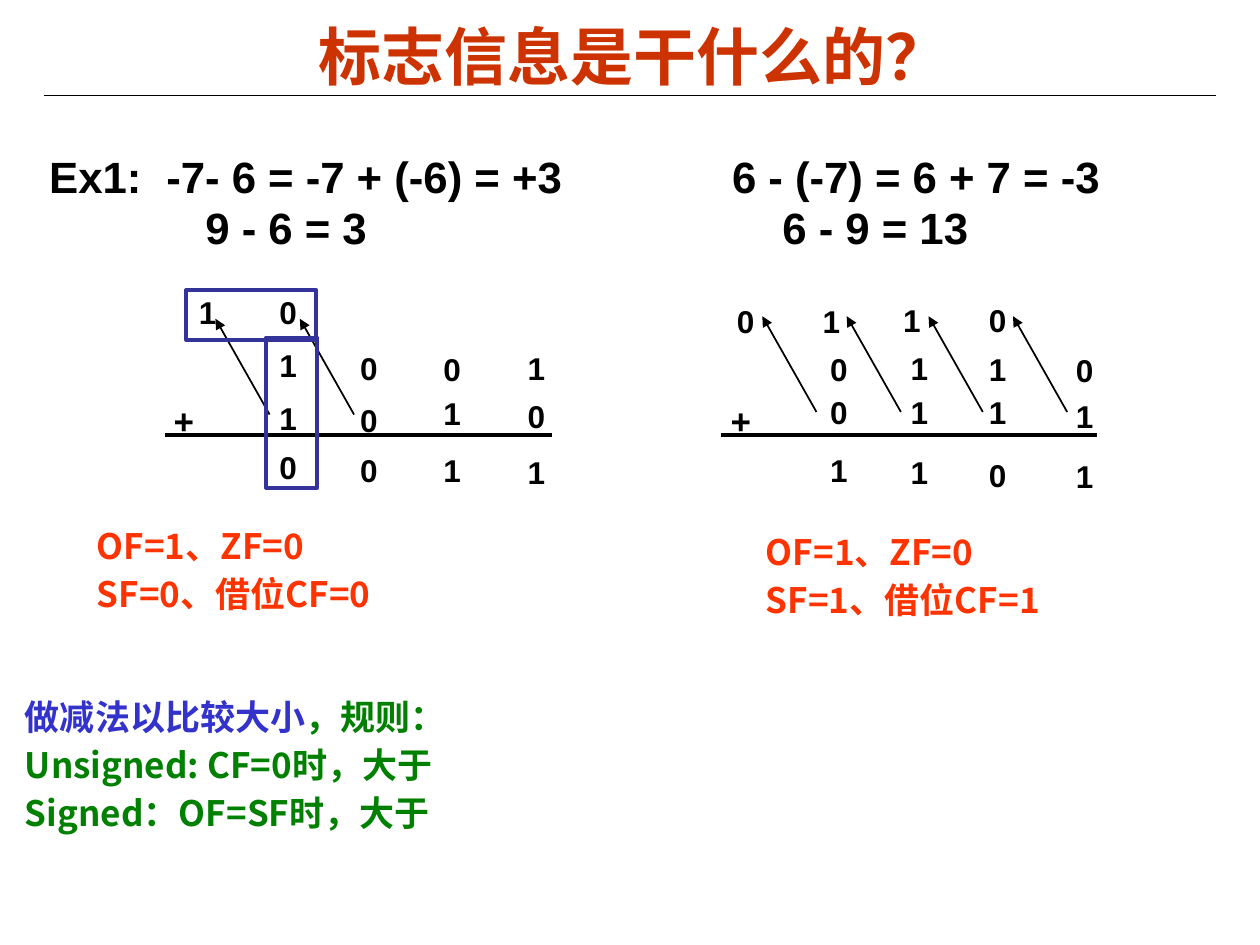
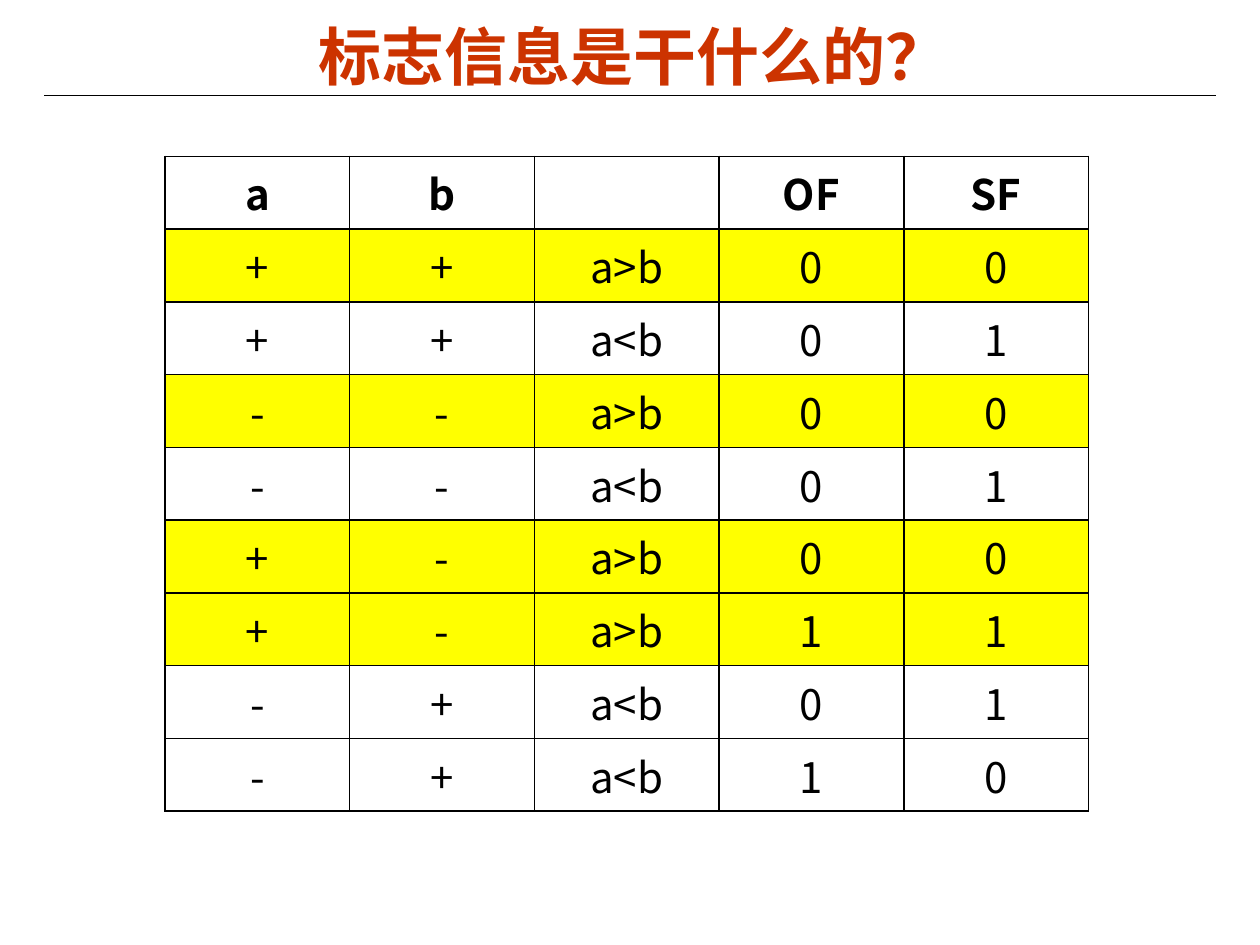
from lxml.etree import SubElement
from pptx import Presentation
from pptx.dml.color import RGBColor as Rgb
from pptx.enum.shapes import MSO_CONNECTOR as Connector, MSO_SHAPE as Shape
from pptx.enum.text import MSO_ANCHOR as Anchor, PP_ALIGN as Align
from pptx.oxml.ns import qn
from pptx.util import Inches, Pt

COLOURS = {
    "title": "CC3300", "ink": "000000", "flag": "FF3300", "rule": "008000",
    "topic": "3333CC", "frame": "333399", "greater": "FFFF00",
}
LATIN, CHINESE = "Arial", "Noto Sans CJK SC"
TITLE = "标志信息是干什么的？"

deck = Presentation()
deck.slide_width, deck.slide_height = Inches(10), Inches(7.5)
CELL = deck.slide_width / 100  # the grid has 100 columns and 75 rows


def write(frame, lines, size, font=LATIN, bold=True, **layout):
    """Fill a text frame; each line is a list of (text, colour) spans."""
    for number, spans in enumerate(lines):
        para = frame.paragraphs[0] if number == 0 else frame.add_paragraph()
        for name, value in layout.items():
            setattr(para, name, value)
        if number == 0:
            para.space_before = Pt(0)
        for text, colour in spans:
            span = para.add_run()
            span.text = text
            for name, value in {"size": Pt(size), "name": font, "bold": bold}.items():
                setattr(span.font, name, value)
            span.font.color.rgb = Rgb.from_string(COLOURS[colour])
            SubElement(span.font._element, qn("a:ea"), typeface=CHINESE)


def draw_line(page, ends, width, arrow=False):
    line = page.shapes.add_connector(Connector.STRAIGHT, *[int(CELL * n) for n in ends])
    line.line.color.rgb = Rgb.from_string(COLOURS["ink"])
    line.line.width = Pt(width)
    if arrow:
        SubElement(line.line._get_or_add_ln(), qn("a:tailEnd"), type="triangle")
    SubElement(line._element.spPr, qn("a:effectLst"))


# Shared title and rule
sums_page, table_page = [deck.slides.add_slide(deck.slide_layouts[6]) for _ in range(2)]
for page in (sums_page, table_page):
    draw_line(page, (3.5, 7.6, 96.5, 7.6), 0.75)
    box = page.shapes.add_textbox(*[int(CELL * n) for n in (5.7, 1.1, 89.2, 6.6)])
    frame = box.text_frame
    frame.word_wrap, frame.vertical_anchor = True, Anchor.MIDDLE
    frame.margin_top = frame.margin_bottom = Inches(0.03)
    write(frame, [[(TITLE, "title")]], 36, alignment=Align.CENTER)

# Equations, lined up with tab stops
box = sums_page.shapes.add_textbox(*[int(CELL * n) for n in (3.2, 11.9, 93.8, 8.8)])
frame = box.text_frame
frame.word_wrap = True
frame.margin_left = frame.margin_right = Inches(0.07)
frame.margin_top = frame.margin_bottom = Inches(0.03)
write(frame, [
    [("Ex1:\t-7- 6 = -7 + (-6) = +3\t6 - (-7) = 6 + 7 = -3", "ink")],
    [("\t9 - 6 = 3\t6 - 9 = 13", "ink")],
], 25)
equation_layout = [(0.95, (9.3, 54.2)), (0.98, (12.4, 58.2))]
for para, (spacing, stops) in zip(frame.paragraphs, equation_layout):
    para.line_spacing = spacing
    tabs = SubElement(para._p.get_or_add_pPr(), qn("a:tabLst"))
    for stop in stops:
        SubElement(tabs, qn("a:tab"), pos=str(int(CELL * stop)), algn="l")

# Binary sums: digit rows run carry, first, second, result
sums = [
    {
        "plus": 12.8, "bar": (13.1, 43.8), "arrows": (21.4, 28.1), "foot": 32.9,
        "carry": (14.8, 21.2), "columns": (21.2, 27.6, 34.2, 40.9),
        "rows": [("10", (22.8, 22.8)),
                 ("1001", (27, 27.2, 27.3, 27.2)),
                 ("1010", (31.2, 31.3, 30.8, 31)),
                 ("0011", (35.1, 35.3, 35.3, 35.5))],
    },
    {
        "plus": 57, "bar": (57.2, 87.1), "arrows": (64.8, 71.5, 78, 84.7), "foot": 32.7,
        "carry": (57.5, 64.3, 70.7, 77.5), "columns": (64.9, 71.3, 77.5, 84.4),
        "rows": [("0110", (23.5, 23.5, 23.4, 23.4)),
                 ("0110", (27.3, 27.2, 27.3, 27.4)),
                 ("0111", (30.7, 30.7, 30.7, 31)),
                 ("1101", (35.3, 35.5, 35.7, 35.8))],
    },
]
for binary in sums:
    labels = [("+", binary["plus"], 31.2, 20)]
    for number, (digits, tops) in enumerate(binary["rows"]):
        lefts = binary["columns"] if number else binary["carry"]
        labels += [(*place, 18) for place in zip(digits, lefts, tops)]
    for text, left, top, size in labels:
        box = sums_page.shapes.add_textbox(*[int(CELL * n) for n in (left, top, 3.4, 4)])
        box.text_frame.word_wrap = False
        write(box.text_frame, [[(text, "ink")]], size)
    start, end = binary["bar"]
    draw_line(sums_page, (start, 34.5, end, 34.5), 2.25)
    for left in binary["arrows"]:
        foot = binary["foot"]
        draw_line(sums_page, (left, foot, left - 4.3, foot - 7.6), 1, arrow=True)

# Frames round the carries and the sign column
for place in [(14.8, 23, 10.3, 4), (21.1, 26.8, 4.1, 11.9)]:
    outline = sums_page.shapes.add_shape(Shape.RECTANGLE, *[int(CELL * n) for n in place])
    outline.shadow.inherit = False
    outline.fill.background()
    outline.line.color.rgb = Rgb.from_string(COLOURS["frame"])
    outline.line.width = Pt(2.25)

# Flag results and comparison rules
notes = [
    ((6.7, 41.1, 44.8, 8.2), [[("OF=1、ZF=0", "flag")], [("SF=0、借位CF=0", "flag")]]),
    ((59.8, 41.6, 36.8, 8.2), [[("OF=1、ZF=0", "flag")], [("SF=1、借位CF=1", "flag")]]),
    ((1, 54.7, 43.7, 12.1), [
        [("做减法以比较大小", "topic"), ("，规则：", "rule")],
        [("Unsigned: CF=0时，大于", "rule")],
        [("Signed：OF=SF时，大于", "rule")],
    ]),
]
for place, lines in notes:
    box = sums_page.shapes.add_textbox(*[int(CELL * n) for n in place])
    box.text_frame.word_wrap = True
    write(box.text_frame, lines, 20, CHINESE, line_spacing=Pt(24.2), space_before=Pt(3))

# Table of signs and flags
records = [
    ("a", "b", "", "OF", "SF"),
    ("+", "+", "a>b", "0", "0"),
    ("+", "+", "a<b", "0", "1"),
    ("-", "-", "a>b", "0", "0"),
    ("-", "-", "a<b", "0", "1"),
    ("+", "-", "a>b", "0", "0"),
    ("+", "-", "a>b", "1", "1"),
    ("-", "+", "a<b", "0", "1"),
    ("-", "+", "a<b", "1", "0"),
]
place = [int(CELL * n) for n in (13.1, 12.4, 73.3, 52)]
table = table_page.shapes.add_table(len(records), len(records[0]), *place).table
for row, record in enumerate(records):
    for column, text in enumerate(record):
        cell = table.cell(row, column)
        cell.vertical_anchor = Anchor.MIDDLE
        cell.margin_top = cell.margin_bottom = Inches(0.03)
        for side in ("lnL", "lnR", "lnT", "lnB"):
            border = SubElement(cell._tc.get_or_add_tcPr(), qn(f"a:{side}"), w=str(Pt(1)))
            paint = SubElement(border, qn("a:solidFill"))
            SubElement(paint, qn("a:srgbClr"), val=COLOURS["ink"])
        if record[2] == "a>b":
            cell.fill.solid()
            cell.fill.fore_color.rgb = Rgb.from_string(COLOURS["greater"])
        else:
            cell.fill.background()
        if text:
            write(cell.text_frame, [[(text, "ink")]], 24, CHINESE, row == 0,
                  alignment=Align.CENTER)

deck.save("out.pptx")
